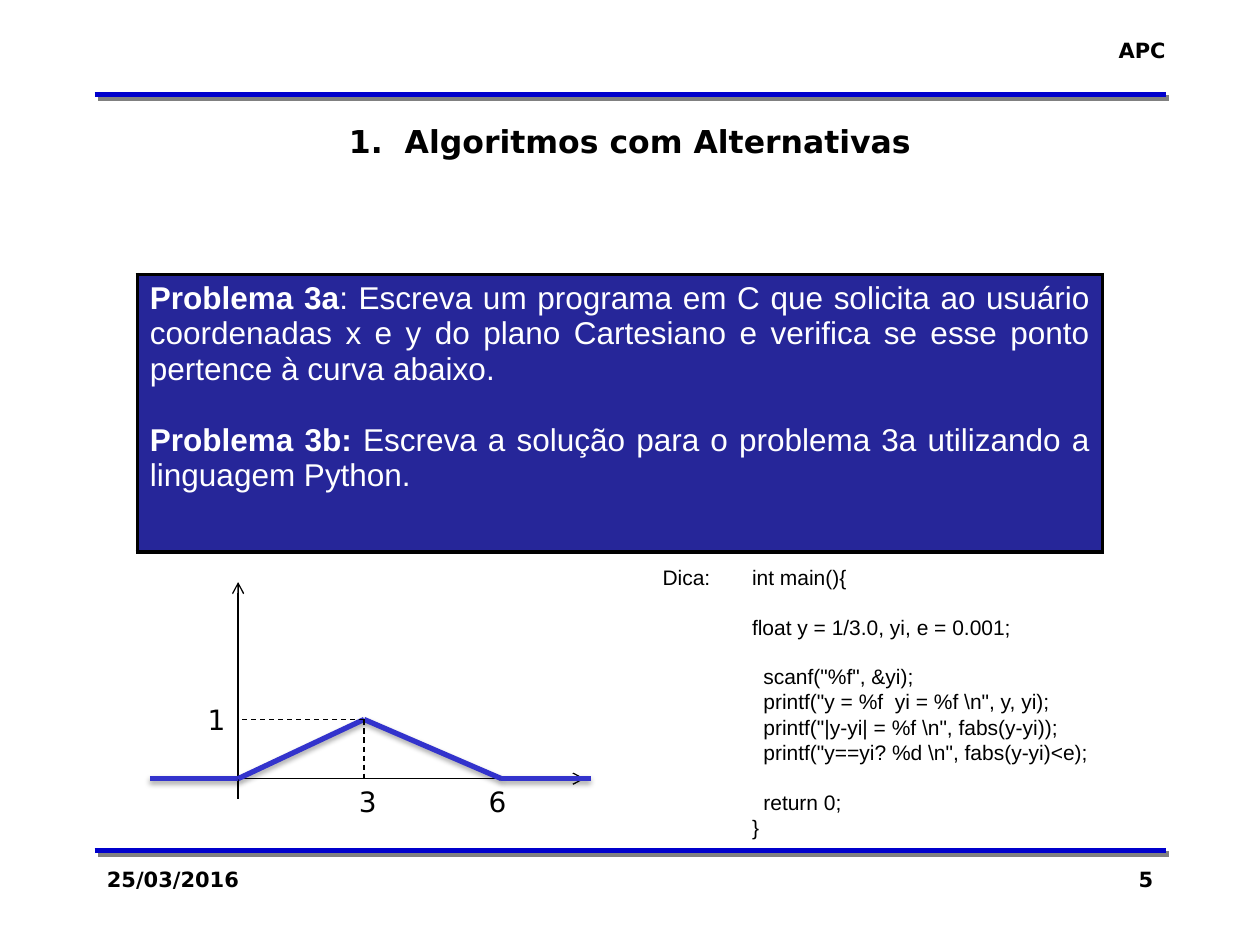
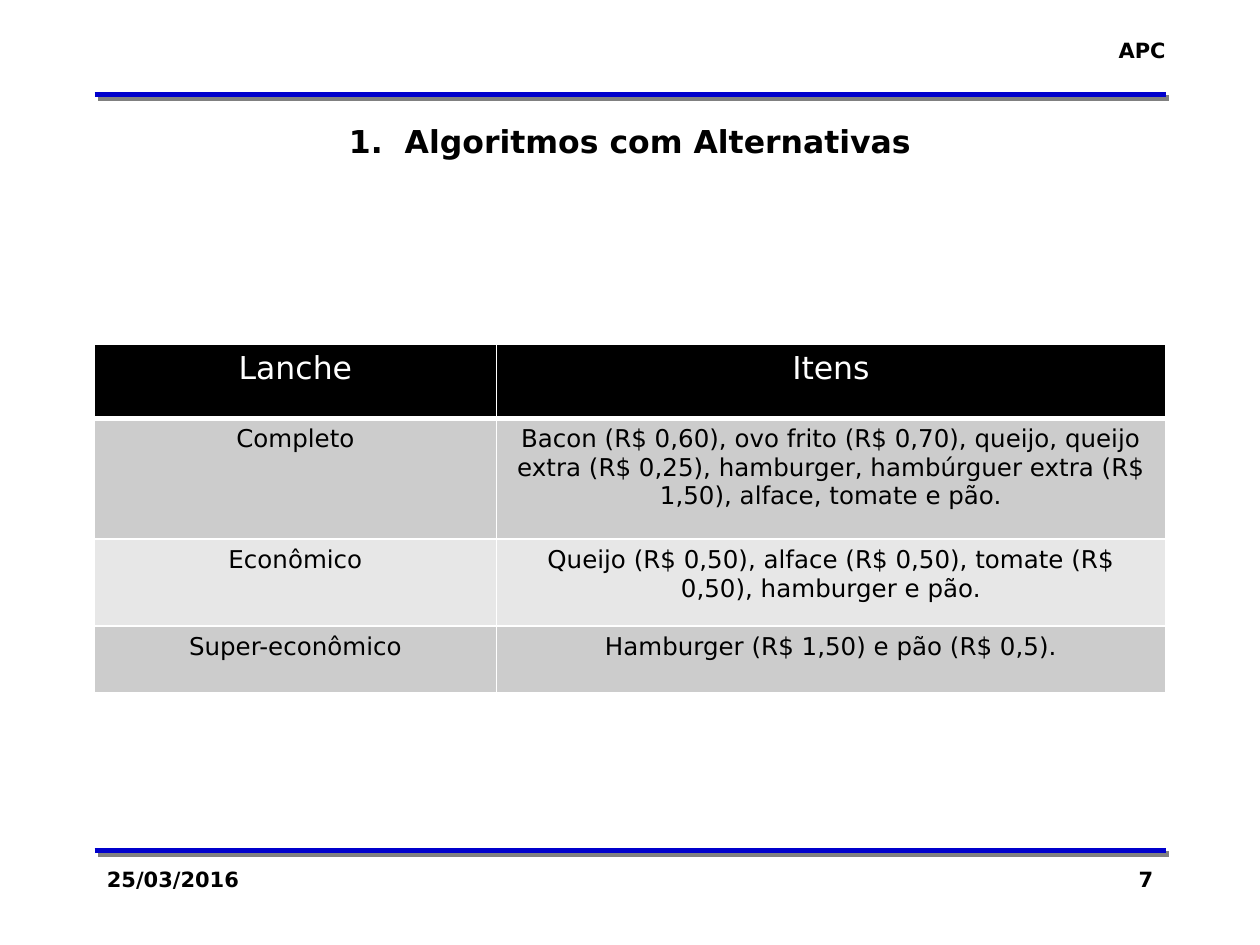
from dataclasses import dataclass
from itertools import pairwise

from lxml import etree
from pptx import Presentation
from pptx.dml.color import RGBColor
from pptx.enum.dml import MSO_LINE
from pptx.enum.shapes import MSO_CONNECTOR
from pptx.enum.text import MSO_ANCHOR, MSO_AUTO_SIZE, PP_ALIGN
from pptx.oxml.ns import qn
from pptx.util import Inches, Pt

STRAIGHT = MSO_CONNECTOR.STRAIGHT
DASH = MSO_LINE.DASH
TOP = MSO_ANCHOR.TOP
NO_AUTOFIT = MSO_AUTO_SIZE.NONE
LEFT, CENTER, RIGHT, JUSTIFY = PP_ALIGN.LEFT, PP_ALIGN.CENTER, PP_ALIGN.RIGHT, PP_ALIGN.JUSTIFY

SLIDE_WIDTH, SLIDE_HEIGHT = Inches(10), Inches(7.5)
COLUMNS, ROWS = 10, 7.5
MARGIN = 0.75
CONTENT_WIDTH = COLUMNS - 2 * MARGIN
TITLE_ONLY = 5


@dataclass(frozen=True)
class Theme:
    heading_font: str = "DejaVu Sans"
    body_font: str = "Arial"
    black: str = "000000"
    white: str = "FFFFFF"
    rule: str = "0000CC"
    rule_shadow: str = "808080"
    curve: str = "3333CC"
    problem: str = "262699"
    band_dark: str = "CCCCCC"
    band_light: str = "E7E7E7"
    title_size: int = 18
    axis_size: int = 16
    cell_size: int = 14
    small_size: int = 12


@dataclass(frozen=True)
class Shadow:
    color: str
    alpha: int
    blur: float
    distance: float
    angle: int


@dataclass(frozen=True)
class Line:
    text: str
    lead: str = ""
    before: float = 0
    indent: float = 0


THEME = Theme()
RULE_SHADOW = Shadow(THEME.rule_shadow, 100, 0, 2.8, 45)
CURVE_SHADOW = Shadow(THEME.black, 35, 3.1, 1.8, 90)

PROBLEMS = [
    Line(": Escreva um programa em C que solicita ao usuário coordenadas x e y do plano "
         "Cartesiano e verifica se esse ponto pertence à curva abaixo.", lead="Problema 3a"),
    Line("Escreva a solução para o problema 3a utilizando a linguagem Python.",
         lead="Problema 3b: ", before=20.5),
]
CODE_GAP, CODE_INDENT = 14, 0.09
CODE = [
    Line("int main(){"),
    Line("float y = 1/3.0, yi, e = 0.001;", before=CODE_GAP),
    Line('scanf("%f", &yi);', before=CODE_GAP, indent=CODE_INDENT),
    Line(r'printf("y = %f  yi = %f \n", y, yi);', indent=CODE_INDENT),
    Line(r'printf("|y-yi| = %f \n", fabs(y-yi));', indent=CODE_INDENT),
    Line(r'printf("y==yi? %d \n", fabs(y-yi)<e);', indent=CODE_INDENT),
    Line("return 0;", before=CODE_GAP, indent=CODE_INDENT),
    Line("}"),
]
SNACKS = [
    ("Lanche", "Itens"),
    ("Completo", "Bacon (R$ 0,60), ovo frito (R$ 0,70), queijo, queijo extra (R$ 0,25), "
                 "hamburger, hambúrguer extra (R$ 1,50), alface, tomate e pão."),
    ("Econômico", "Queijo (R$ 0,50), alface (R$ 0,50), tomate (R$ 0,50), hamburger e pão."),
    ("Super-econômico", "Hamburger (R$ 1,50) e pão (R$ 0,5)."),
]


def across(columns):
    return int(SLIDE_WIDTH * columns / COLUMNS)


def down(rows):
    return int(SLIDE_HEIGHT * rows / ROWS)


def area(left, top, width, height):
    return across(left), down(top), across(width), down(height)


def add_node(parent, tag, **attributes):
    values = {name: str(value) for name, value in attributes.items()}
    return etree.SubElement(parent, qn(tag), values)


def write_text(frame, lines, size=THEME.small_size, font=THEME.heading_font,
               color=THEME.black, bold=False, align=LEFT):
    if isinstance(lines, str):
        lines = [Line(lines)]
    for index, line in enumerate(lines):
        paragraph = frame.add_paragraph() if index else frame.paragraphs[0]
        paragraph.alignment = align
        paragraph.space_before = Pt(line.before)
        if line.indent:
            paragraph._p.get_or_add_pPr().set("marL", str(across(line.indent)))
        for text, is_bold in ((line.lead, True), (line.text, bold)):
            if text:
                run = paragraph.add_run()
                run.text = text
                run.font.name = font
                run.font.size = Pt(size)
                run.font.bold = is_bold
                run.font.color.rgb = RGBColor.from_string(color)


def add_text(shapes, position, lines, wrap=True, **text_format):
    frame = shapes.add_textbox(*area(*position)).text_frame
    frame.word_wrap = wrap
    write_text(frame, lines, **text_format)


def add_line(shapes, start, end, color=THEME.black, width=0.75,
             dash=None, arrow=False, shadow=None):
    connector = shapes.add_connector(STRAIGHT, across(start[0]), down(start[1]),
                                     across(end[0]), down(end[1]))
    connector.line.color.rgb = RGBColor.from_string(color)
    connector.line.width = Pt(width)
    if dash is not None:
        connector.line.dash_style = dash
    properties = connector._element.spPr
    if arrow:
        add_node(properties.find(qn("a:ln")), "a:tailEnd", type="arrow")
    effects = add_node(properties, "a:effectLst")
    if shadow:
        outer = add_node(effects, "a:outerShdw", blurRad=Pt(shadow.blur),
                         dist=Pt(shadow.distance), dir=shadow.angle * 60000,
                         algn="ctr", rotWithShape=0)
        shade = add_node(outer, "a:srgbClr", val=shadow.color)
        add_node(shade, "a:alpha", val=shadow.alpha * 1000)


def format_cell(cell, fill, border, widths):
    properties = cell._tc.get_or_add_tcPr()
    for side in "LRTB":
        edge = add_node(properties, f"a:ln{side}", w=Pt(widths[side]))
        add_node(add_node(edge, "a:solidFill"), "a:srgbClr", val=border)
    cell.fill.solid()
    cell.fill.fore_color.rgb = RGBColor.from_string(fill)


def add_grid(slide, left, top, column_widths, row_heights):
    position = area(left, top, sum(column_widths), sum(row_heights))
    table = slide.shapes.add_table(len(row_heights), len(column_widths), *position).table
    table.first_row = table.horz_banding = False
    for column, width in zip(table.columns, column_widths):
        column.width = across(width)
    for row, height in zip(table.rows, row_heights):
        row.height = down(height)
    return table


def add_base_slide(presentation, number):
    slide = presentation.slides.add_slide(presentation.slide_layouts[TITLE_ONLY])
    shapes = slide.shapes
    for height in (6.75, 0.75):
        add_line(shapes, (MARGIN, height), (COLUMNS - MARGIN, height),
                 color=THEME.rule, width=3, shadow=RULE_SHADOW)
    add_text(shapes, (8.77, 0.25, 0.58, 0.3), "APC", wrap=False, bold=True, align=RIGHT)
    add_text(shapes, (MARGIN, 6.83, 2.08, 0.5), "25/03/2016", bold=True)
    add_text(shapes, (7.17, 6.83, 2.08, 0.5), str(number), bold=True, align=RIGHT)
    title = shapes.title
    title.left, title.top, title.width, title.height = area(MARGIN, 0.92, CONTENT_WIDTH, 0.4)
    title.text_frame.auto_size = NO_AUTOFIT
    title.text_frame.vertical_anchor = TOP
    write_text(title.text_frame, "1.  Algoritmos com Alternativas",
               size=THEME.title_size, bold=True, align=CENTER)
    return slide


def add_problem_box(slide):
    cell = add_grid(slide, 1.09, 2.18, [7.66], [2.2]).cell(0, 0)
    format_cell(cell, THEME.problem, THEME.black, dict.fromkeys("LRTB", 2.25))
    write_text(cell.text_frame, PROBLEMS, size=THEME.title_size, font=THEME.body_font,
               color=THEME.white, align=JUSTIFY)


def add_curve_plot(slide):
    shapes = slide.shapes.add_group_shape().shapes
    origin, peak, foot = (1.89, 6.18), (2.89, 5.71), (3.98, 6.18)
    base = origin[1]
    add_line(shapes, (origin[0], 6.34), (origin[0], 4.62), arrow=True)
    add_line(shapes, origin, (4.64, base), arrow=True)
    for start, end in pairwise([(1.19, base), origin, peak, foot, (4.69, base)]):
        add_line(shapes, start, end, color=THEME.curve, width=3, shadow=CURVE_SHADOW)
    for end in ((origin[0], peak[1]), (peak[0], base)):
        add_line(shapes, peak, end, dash=DASH)
    for text, left, top in (("1", 1.55, 5.53), ("3", 2.75, base), ("6", 3.78, base)):
        add_text(shapes, (left, top, 0.34, 0.37), text, wrap=False, size=THEME.axis_size)


def add_snack_table(slide):
    table = add_grid(slide, MARGIN, 2.73, [3.19, 5.31], [0.59, 0.96, 0.69, 0.53])
    for row, texts in enumerate(SNACKS):
        header = row == 0
        fill = THEME.black if header else THEME.band_dark if row % 2 else THEME.band_light
        widths = {"L": 1, "R": 1, "T": 3 if row == 1 else 1, "B": 3 if header else 1}
        for column, text in enumerate(texts):
            cell = table.cell(row, column)
            format_cell(cell, fill, THEME.white, widths)
            write_text(cell.text_frame, text, align=CENTER,
                       size=THEME.title_size if header else THEME.cell_size,
                       color=THEME.white if header else THEME.black)


def main():
    presentation = Presentation()
    presentation.slide_width, presentation.slide_height = SLIDE_WIDTH, SLIDE_HEIGHT

    problem_slide = add_base_slide(presentation, 5)
    add_problem_box(problem_slide)
    add_curve_plot(problem_slide)
    add_text(problem_slide.shapes, (5.87, 4.43, 2.88, 2.32), CODE, font=THEME.body_font)
    add_text(problem_slide.shapes, (5.16, 4.43, 0.59, 0.3), "Dica:", font=THEME.body_font)

    snack_slide = add_base_slide(presentation, 7)
    add_snack_table(snack_slide)

    presentation.save("out.pptx")


if __name__ == "__main__":
    main()
